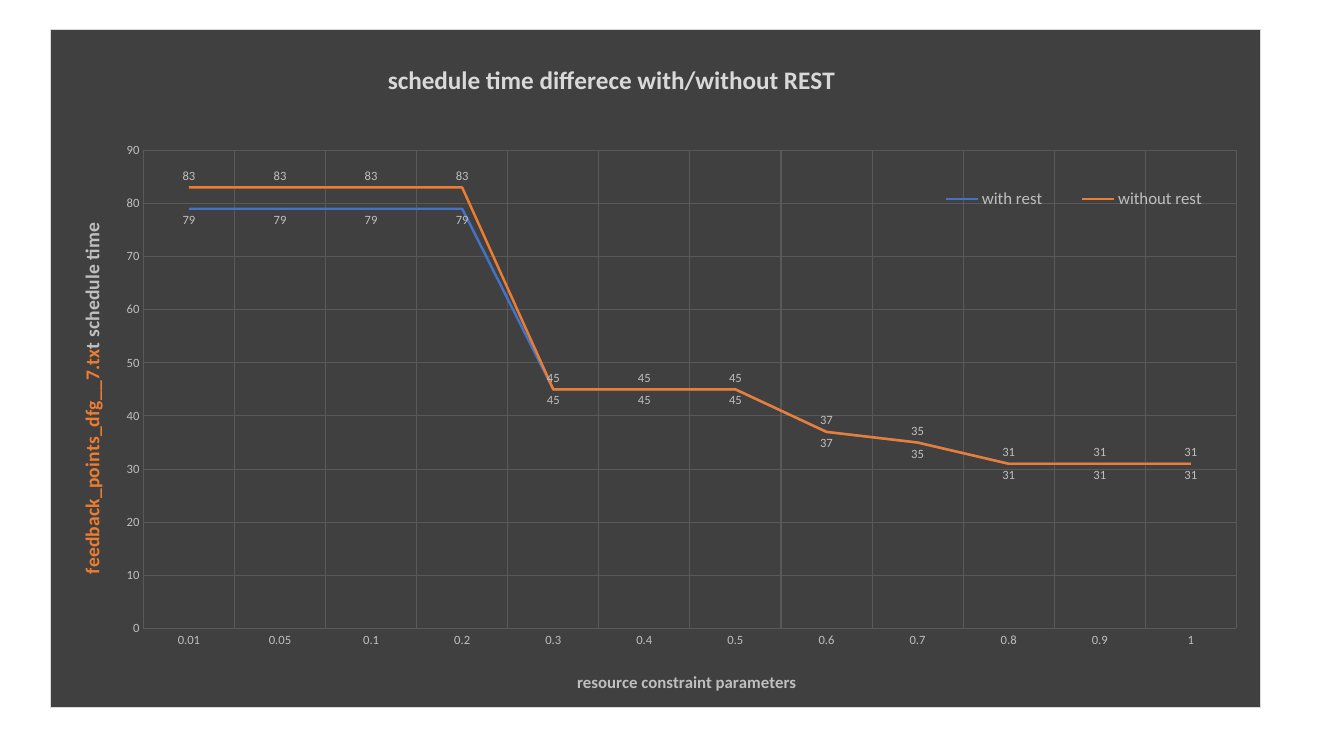
from lxml import etree
from pptx import Presentation
from pptx.chart.data import CategoryChartData
from pptx.dml.color import RGBColor
from pptx.enum.chart import XL_CHART_TYPE, XL_LABEL_POSITION, XL_LEGEND_POSITION, XL_TICK_MARK
from pptx.oxml import parse_xml
from pptx.oxml.ns import nsdecls, qn
from pptx.util import Emu, Pt

LINE = XL_CHART_TYPE.LINE
BELOW, ABOVE = XL_LABEL_POSITION.BELOW, XL_LABEL_POSITION.ABOVE
LEGEND_TOP = XL_LEGEND_POSITION.TOP
NO_TICK = XL_TICK_MARK.NONE

# Content
BLUE, ORANGE = "4472C4", "ED7D31"
DARK, GRID, GREY, LIGHT = "404040", "595959", "BFBFBF", "D9D9D9"
TITLE = [("schedule time differece with/without REST", LIGHT)]
X_TITLE = [("resource constraint parameters", GREY)]
Y_TITLE = [("feedback_points_dfg__7.tx", ORANGE), ("t schedule time", GREY)]
CONSTRAINTS = ["0.01", "0.05", "0.1", "0.2", "0.3", "0.4",
               "0.5", "0.6", "0.7", "0.8", "0.9", "1"]
SHARED_TIMES = [45, 45, 45, 37, 35, 31, 31, 31]
SCHEDULES = [
    ("with rest", [79] * 4 + SHARED_TIMES, BLUE, BELOW),
    ("without rest", [83] * 4 + SHARED_TIMES, ORANGE, ABOVE),
]

# Places on the slide in px: left, top, width, height
CHART = (50, 29, 1211, 679)
PLOT = (143, 150, 1094, 479)
LEGEND = (912, 182, 325, 34)
TITLE_AT = (383, 57)
X_TITLE_AT = (574, 668)
Y_TITLE_AT = (75, 219)


def px(length):
    return Emu(round(length * 914400 / 100.8))


def rgb(color):
    return RGBColor.from_string(color)


def style(font, size, color):
    font.name, font.size = "Calibri", Pt(size)
    font.color.rgb = rgb(color)


def place(parent, area, after=None, inner=False):
    """Give a chart part a fixed place, as fractions of the chart."""
    for old in parent.findall(qn("c:layout")):
        parent.remove(old)
    layout = etree.Element(qn("c:layout"))
    manual = etree.SubElement(layout, qn("c:manualLayout"))
    left, top, width, height = CHART
    fractions = [(area[0] - left) / width, (area[1] - top) / height]
    fractions += [size / whole for size, whole in zip(area[2:], (width, height))]
    settings = [("layoutTarget", "inner")] if inner else []
    settings += [("xMode", "edge"), ("yMode", "edge")]
    settings += [(key, f"{part:.4f}") for key, part in zip("xywh", fractions)]
    for tag, value in settings:
        etree.SubElement(manual, qn("c:" + tag)).set("val", value)
    if after is None:
        parent.insert(0, layout)
    else:
        parent.find(qn(after)).addnext(layout)


def write_title(title, runs, size):
    paragraph = title.text_frame.paragraphs[0]
    paragraph.font.size, paragraph.font.bold = Pt(size), True
    for text, color in runs:
        run = paragraph.add_run()
        run.text = text
        style(run.font, size, color)
        run.font.bold = True


prs = Presentation()
prs.slide_width, prs.slide_height = px(1344), px(756)
slide = prs.slides.add_slide(prs.slide_layouts[6])

# Chart and its background
schedule_data = CategoryChartData()
schedule_data.categories = CONSTRAINTS
for name, times, _, _ in SCHEDULES:
    schedule_data.add_series(name, times)
chart = slide.shapes.add_chart(LINE, *map(px, CHART), schedule_data).chart
style(chart.font, 10, GREY)
space = chart.element if hasattr(chart, "element") else chart._chartSpace
chart_part = space.find(qn("c:chart"))
chart_part.addnext(parse_xml(
    f'<c:spPr {nsdecls("c", "a")}>'
    f'<a:solidFill><a:srgbClr val="{DARK}"/></a:solidFill>'
    f'<a:ln w="9525"><a:solidFill><a:srgbClr val="{LIGHT}"/></a:solidFill></a:ln>'
    '</c:spPr>'))
plot_area = chart_part.find(qn("c:plotArea"))
place(plot_area, PLOT, inner=True)

# Series lines and labels
chart.plots[0].vary_by_categories = False
for series, (_, _, color, position) in zip(chart.plots[0].series, SCHEDULES):
    series.smooth = False
    series.format.line.color.rgb = rgb(color)
    series.format.line.width = Pt(1.75)
    labels = series.data_labels
    labels.show_value, labels.position = True, position
    style(labels.font, 9, GREY)

# Axes
chart.value_axis.minimum_scale = 0
chart.value_axis.maximum_scale = 90
chart.value_axis.major_unit = 10
for axis, tag, runs, size, corner in (
        (chart.category_axis, "c:catAx", X_TITLE, 12, X_TITLE_AT),
        (chart.value_axis, "c:valAx", Y_TITLE, 14, Y_TITLE_AT)):
    axis.major_tick_mark = axis.minor_tick_mark = NO_TICK
    axis.format.line.fill.background()
    axis.has_major_gridlines = True
    axis.major_gridlines.format.line.color.rgb = rgb(GRID)
    axis.major_gridlines.format.line.width = Pt(0.75)
    style(axis.tick_labels.font, 9, GREY)
    write_title(axis.axis_title, runs, size)
    place(plot_area.find(qn(tag)).find(qn("c:title")), corner, "c:tx")
body = plot_area.find(qn("c:valAx")).find(".//" + qn("a:bodyPr"))
body.set("rot", "-5400000")
body.set("vert", "horz")

# Title and legend
write_title(chart.chart_title, TITLE, 18)
title_part = chart_part.find(qn("c:title"))
place(title_part, TITLE_AT, "c:tx")
title_part.find(qn("c:overlay")).set("val", "1")
chart.has_legend = True
chart.legend.position = LEGEND_TOP
chart.legend.include_in_layout = False
style(chart.legend.font, 12, GREY)
place(chart_part.find(qn("c:legend")), LEGEND, "c:legendPos")

prs.save("out.pptx")
